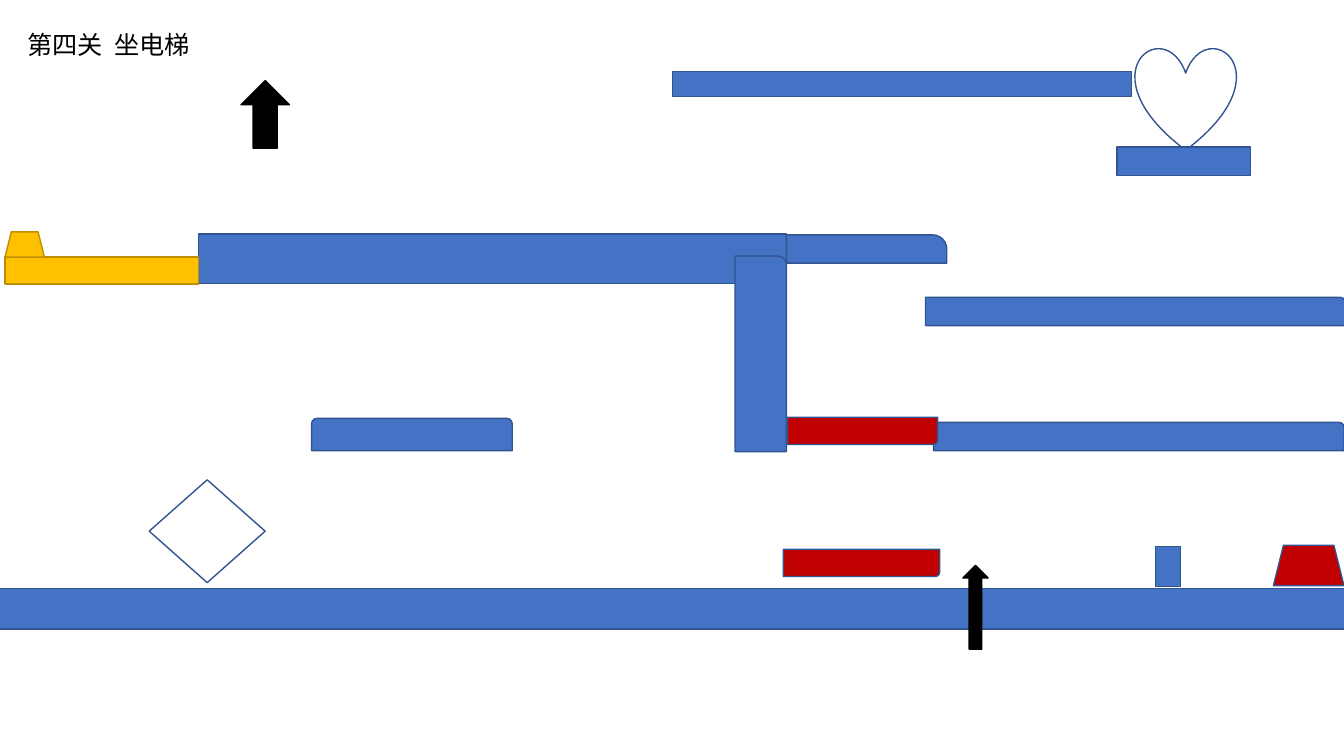
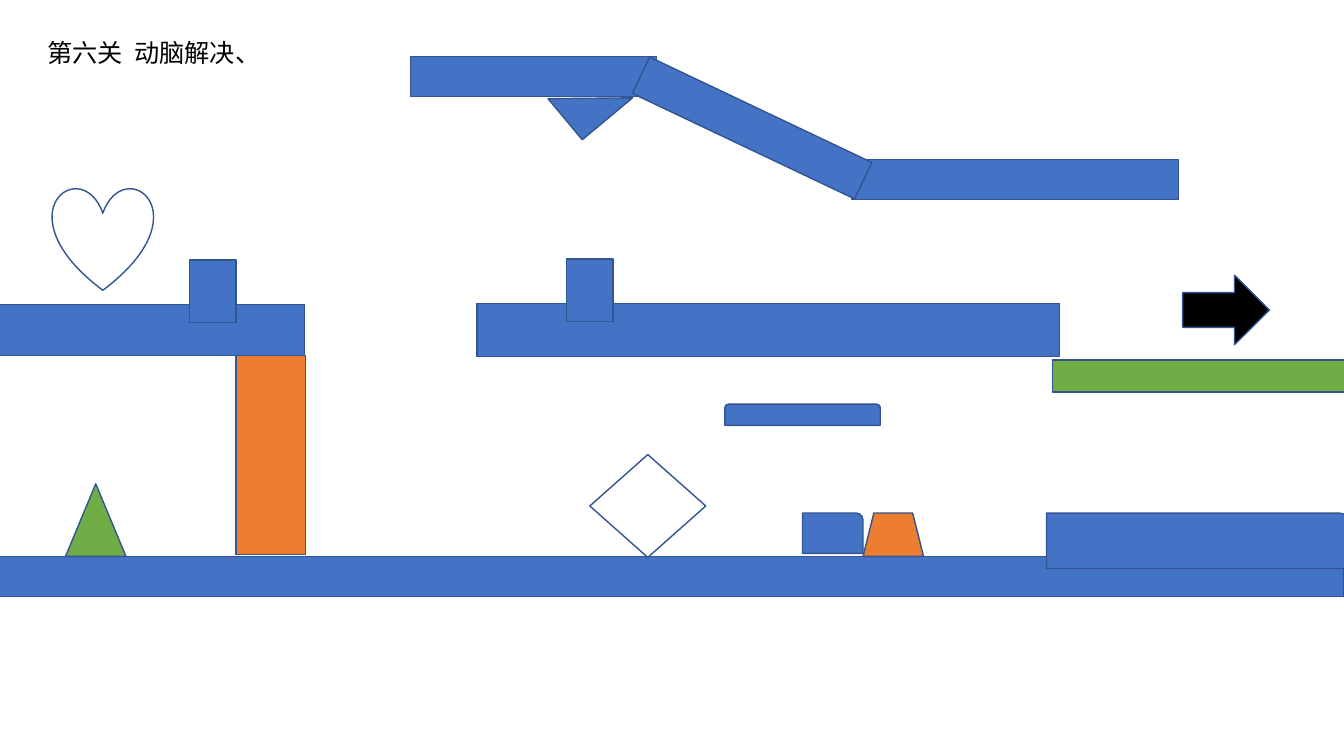
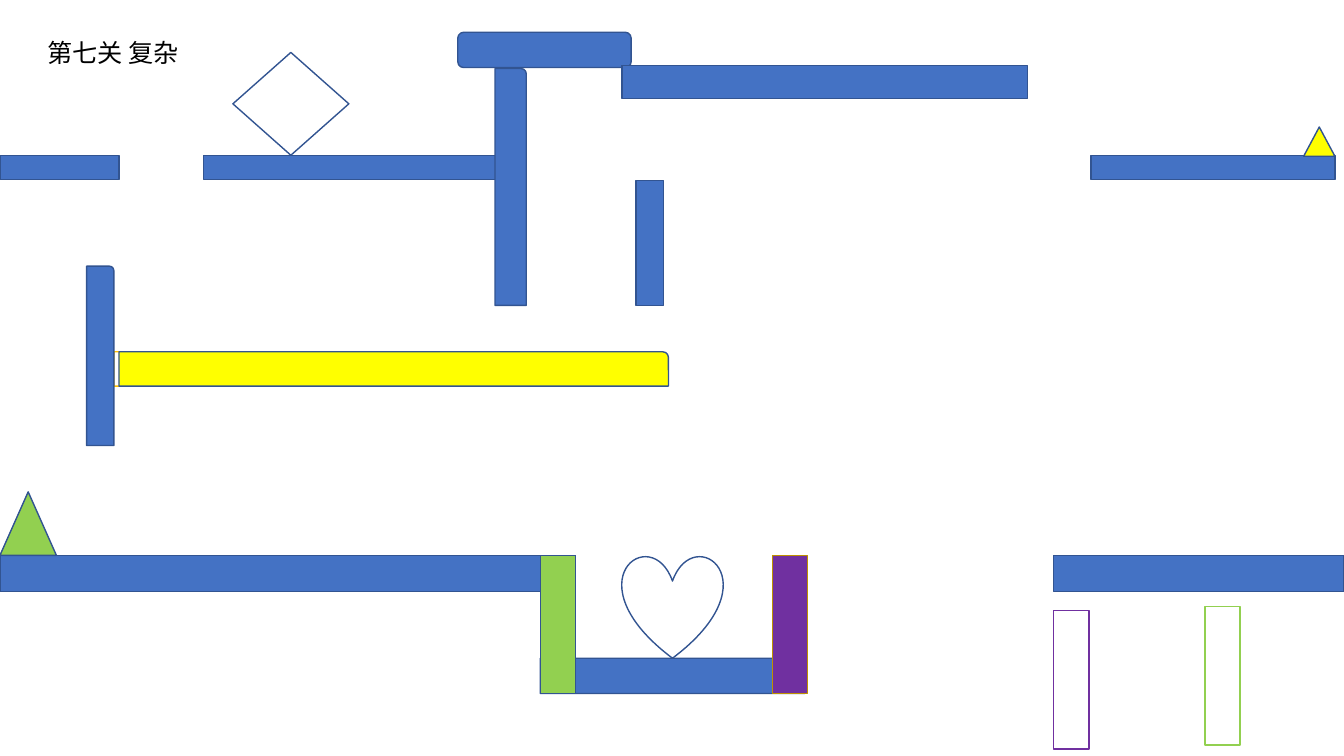
from lxml.etree import SubElement
from pptx import Presentation
from pptx.dml.color import RGBColor
from pptx.enum.shapes import MSO_SHAPE as S
from pptx.enum.text import MSO_ANCHOR, MSO_AUTO_SIZE, PP_ALIGN
from pptx.oxml.ns import qn
from pptx.util import Inches, Pt

FONT = "Noto Sans CJK SC"
BLUE, EDGE, WHITE, BLACK = "4472C4", "325491", "FFFFFF", "000000"
RED, GOLD, RUST, LEAF = "C00000", "FFC000", "ED7D31", "70AD47"
LIME, PLUM, SUN = "92D050", "7030A0", "FFFF00"
BAR, TAB, CAP = S.RECTANGLE, S.ROUND_1_RECTANGLE, S.ROUND_2_SAME_RECTANGLE
SPIKE, RAMP = S.ISOSCELES_TRIANGLE, S.TRAPEZOID
GEM, GOAL = (1.15, 1.02), (1, 1.02)
POST = (0.35, 1.37)


def part(kind, x, y, w, h, fill=BLUE, line=EDGE, rot=0, adj=None):
    return kind, (x, y, w, h), fill, line, rot, adj


def gem(x, y):
    return part(S.DIAMOND, x, y, *GEM, WHITE)


def goal(x, y):
    return part(S.HEART, x, y, *GOAL, WHITE)


LEVELS = [
    ("第四关  坐电梯", (0.17, 0.24, 3.78, 0.4), [
        gem(1.48, 4.76),
        goal(11.26, 0.47),
        part(BAR, -0.05, 5.84, 13.43, 0.4),
        part(TAB, 9.26, 4.19, 4.07, 0.28),
        part(TAB, 8.41, 4.81, 0.27, 1.55, RED, rot=90),
        part(TAB, 8.42, 3.53, 0.27, 1.49, RED, rot=90),
        part(RAMP, 12.63, 5.41, 0.7, 0.4, RED),
        part(S.UP_ARROW, 9.55, 5.61, 0.25, 0.83, BLACK, BLACK),
        part(BAR, 1.97, 2.32, 5.83, 0.49),
        part(BAR, 11.46, 5.42, 0.25, 0.4),
        part(TAB, 9.18, 2.95, 4.16, 0.28),
        part(BAR, 6.67, 0.71, 4.55, 0.25),
        part(BAR, 11.08, 1.46, 1.32, 0.28),
        part(BAR, 0.05, 2.55, 1.92, 0.27, GOLD, "BD8E00"),
        part(RAMP, 0.05, 2.3, 0.39, 0.25, GOLD, "BD8E00"),
        part(S.UP_ARROW, 2.39, 0.8, 0.48, 0.67, BLACK, BLACK),
        part(TAB, 7.29, 2.54, 0.51, 1.94),
        part(CAP, 3.09, 4.15, 1.99, 0.32),
        part(TAB, 7.8, 2.33, 1.59, 0.28, adj=0.5),
    ]),
    ("第六关  动脑解决、", (0.37, 0.32, 2.25, 0.4), [
        part(BAR, -0.31, 5.52, 13.64, 0.4),
        part(BAR, 4.73, 3.01, 5.78, 0.53),
        gem(5.85, 4.51),
        goal(0.52, 1.86),
        part(BAR, -0.13, 3.02, 3.15, 0.51),
        part(BAR, 1.88, 2.58, 0.46, 0.62),
        part(BAR, 8.45, 1.58, 3.24, 0.4),
        part(BAR, 4.07, 0.56, 2.44, 0.4),
        part(BAR, 6.24, 1.07, 2.44, 0.4, rot=25.4),
        part(S.RIGHT_TRIANGLE, 5.53, 0.71, 0.65, 0.53, rot=320.2),
        part(BAR, 5.62, 2.57, 0.46, 0.62),
        part(BAR, 2.34, 3.53, 0.69, 1.97, RUST),
        part(SPIKE, 0.65, 4.8, 0.6, 0.72, LEAF),
        part(RAMP, 8.56, 5.09, 0.6, 0.43, RUST),
        part(TAB, 7.96, 5.09, 0.6, 0.4),
        part(BAR, 10.44, 3.57, 2.9, 0.32, LEAF),
        part(S.RIGHT_ARROW, 11.73, 2.73, 0.86, 0.69, BLACK),
        part(TAB, 10.38, 5.09, 3, 0.55),
        part(CAP, 7.19, 4.01, 1.54, 0.21),
    ]),
    ("第七关 复杂", (0.37, 0.32, 2.88, 0.71), [
        part(TAB, 1.13, 3.49, 5.45, 0.34, WHITE, GOLD),
        gem(2.31, 0.52),
        goal(6.17, 5.51),
        part(TAB, 5.36, 6.53, 2.62, 0.35),
        part(BAR, 0, 5.51, 5.71, 0.36),
        part(BAR, 10.45, 5.51, 2.88, 0.36),
        part(BAR, 2.02, 1.54, 3.2, 0.24),
        part(BAR, 0, 1.54, 1.18, 0.24),
        part(S.ROUNDED_RECTANGLE, 4.54, 0.32, 1.72, 0.35),
        part(BAR, 5.36, 5.51, *POST, LIME),
        part(BAR, 7.66, 5.51, *POST, PLUM, "BF9000"),
        part(TAB, 4.91, 0.68, 0.31, 2.35),
        part(BAR, 6.17, 0.65, 4.02, 0.33),
        part(BAR, 10.82, 1.54, 2.42, 0.24),
        part(TAB, 1.18, 3.49, 5.45, 0.34, SUN),
        part(SPIKE, 12.93, 1.26, 0.31, 0.29, SUN),
        part(BAR, 6.31, 1.79, 0.27, 1.24),
        part(TAB, 0.86, 2.64, 0.27, 1.78),
        part(SPIKE, 0, 4.88, 0.56, 0.63, LIME),
        part(BAR, 11.95, 6.02, *POST, WHITE, LIME),
        part(BAR, 10.45, 6.06, *POST, WHITE, PLUM),
    ]),
]


def paint(fmt, code):
    fmt.solid()
    fmt.fore_color.rgb = RGBColor.from_string(code)


def head(slide, text, box):
    title = slide.shapes.title
    title.left, title.top, title.width, title.height = map(Inches, box)
    frame = title.text_frame
    frame.text = text
    frame.word_wrap = True
    frame.auto_size = MSO_AUTO_SIZE.NONE
    frame.vertical_anchor = MSO_ANCHOR.TOP
    line = frame.paragraphs[0]
    line.alignment = PP_ALIGN.LEFT
    for run in line.runs:
        run.font.size = Pt(18)
        run.font.name = FONT
        run.font.color.rgb = RGBColor.from_string(BLACK)
        SubElement(run.font._element, qn("a:ea")).set("typeface", FONT)


def draw(slide, kind, box, fill, line, rot, adj):
    shape = slide.shapes.add_shape(kind, *map(Inches, box))
    shape.shadow.inherit = False
    shape.rotation = rot
    paint(shape.fill, fill)
    paint(shape.line.fill, line)
    shape.line.width = Pt(1)
    if adj is not None:
        shape.adjustments[0] = adj


def main():
    deck = Presentation()
    deck.slide_width, deck.slide_height = Inches(13.33), Inches(7.5)
    for text, box, parts in LEVELS:
        slide = deck.slides.add_slide(deck.slide_layouts[5])
        head(slide, text, box)
        for item in parts:
            draw(slide, *item)
    deck.save("out.pptx")


if __name__ == "__main__":
    main()
